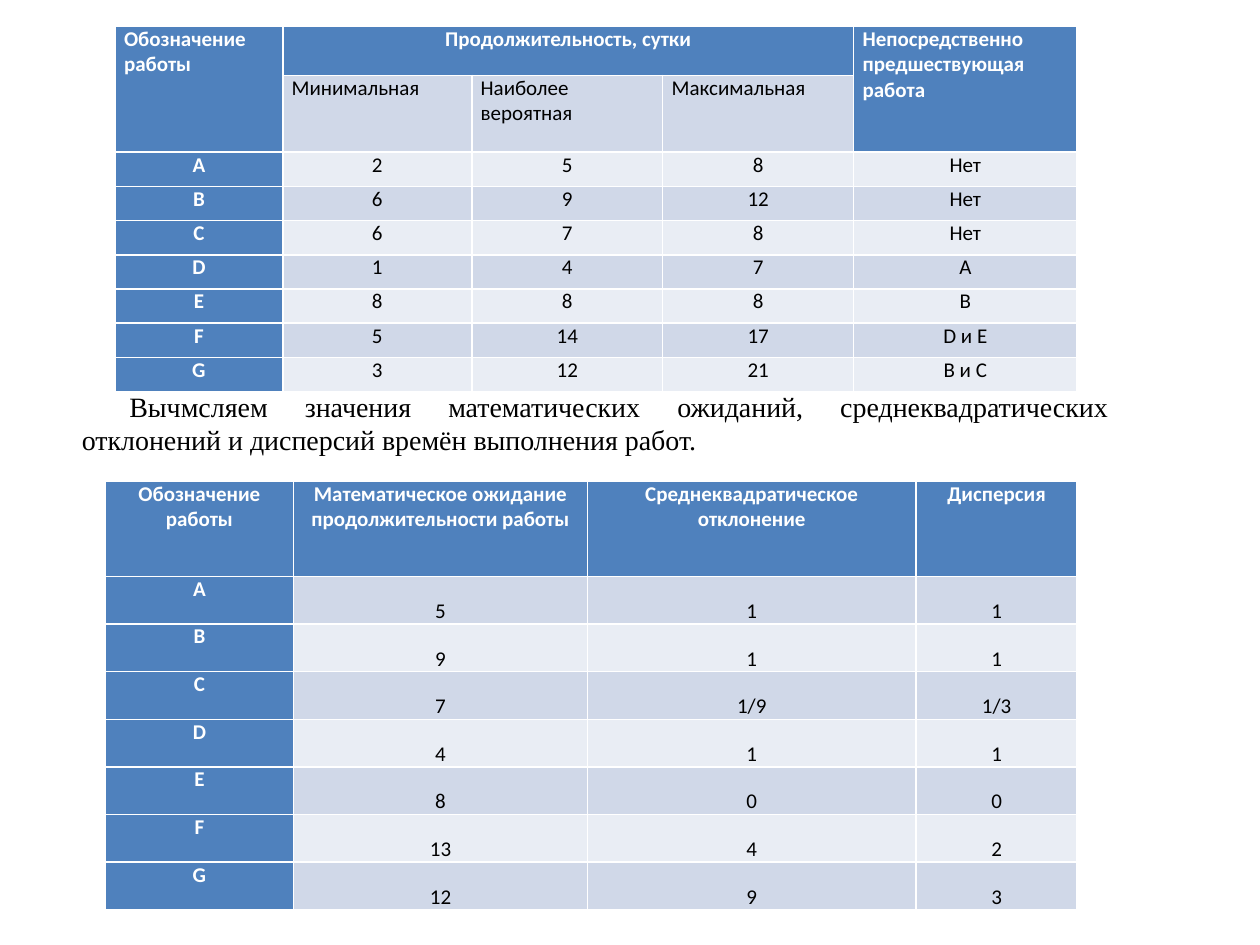
from pptx import Presentation
from pptx import util as u
from pptx.dml.color import RGBColor
from pptx.enum import text

BLUE = RGBColor(0x4F, 0x81, 0xBD)
BAND_DARK = RGBColor(0xD0, 0xD8, 0xE8)
BAND_LIGHT = RGBColor(0xE9, 0xED, 0xF4)
WHITE = RGBColor(0xFF, 0xFF, 0xFF)
BLACK = RGBColor(0, 0, 0)

CENTER, JUSTIFY = text.PP_ALIGN.CENTER, text.PP_ALIGN.JUSTIFY
TOP, BOTTOM = text.MSO_ANCHOR.TOP, text.MSO_ANCHOR.BOTTOM

DURATIONS = [
    ["Обозначение работы", "Продолжительность, сутки", "", "",
     "Непосредственно предшествующая работа"],
    ["", "Минимальная", "Наиболее вероятная", "Максимальная", ""],
    ["A", "2", "5", "8", "Нет"],
    ["B", "6", "9", "12", "Нет"],
    ["C", "6", "7", "8", "Нет"],
    ["D", "1", "4", "7", "A"],
    ["E", "8", "8", "8", "B"],
    ["F", "5", "14", "17", "D и E"],
    ["G", "3", "12", "21", "B и C"],
]
DURATION_MERGES = [((0, 0), (1, 0)), ((0, 1), (0, 3)), ((0, 4), (1, 4))]

ESTIMATES = [
    ["Обозначение работы", "Математическое ожидание продолжительности работы",
     "Среднеквадратическое отклонение", "Дисперсия"],
    ["A", "5", "1", "1"],
    ["B", "9", "1", "1"],
    ["C", "7", "1/9", "1/3"],
    ["D", "4", "1", "1"],
    ["E", "8", "0", "0"],
    ["F", "13", "4", "2"],
    ["G", "12", "9", "3"],
]


class SlideWriter:
    table_font, table_size = "Calibri", u.Pt(12)
    body_font, body_size = "Times New Roman", u.Pt(16)
    gap = u.Pt(6)

    def __init__(self, slide):
        self.slide = slide

    def format_runs(self, para, font, size, color, bold=False):
        for span in para.runs:
            span.font.name, span.font.size = font, size
            span.font.color.rgb, span.font.bold = color, bold

    def cell(self, cell, content, fill, heading, align=CENTER, anchor=TOP):
        cell.fill.solid()
        cell.fill.fore_color.rgb = fill
        cell.margin_left = cell.margin_right = u.Cm(0.18)
        cell.margin_top = cell.margin_bottom = 0
        cell.vertical_anchor = anchor
        para = cell.text_frame.paragraphs[0]
        para.text = content
        para.alignment = align
        if not content.replace("/", "").isdigit():
            para.space_after = self.gap
        self.format_runs(para, self.table_font, self.table_size,
                         WHITE if heading else BLACK, heading)

    def table(self, left, top, widths, heights, rows, merges=(),
              justified=(), anchor=TOP):
        """Draw a table with a blue first row and column; justified lists cell positions."""
        frame = self.slide.shapes.add_table(
            len(rows), len(widths), u.Cm(left), u.Cm(top),
            u.Cm(sum(widths)), u.Cm(sum(heights)))
        table = frame.table
        table.first_col = True
        for column, width in zip(table.columns, widths):
            column.width = u.Cm(width)
        for row, height in zip(table.rows, heights):
            row.height = u.Cm(height)
        for r, row in enumerate(rows):
            for c, content in enumerate(row):
                heading = r == 0 or c == 0
                band = BAND_DARK if r % 2 else BAND_LIGHT
                self.cell(table.cell(r, c), content, BLUE if heading else band, heading,
                          JUSTIFY if (r, c) in justified else CENTER,
                          TOP if heading else anchor)
        for first, last in merges:
            table.cell(*first).merge(table.cell(*last))

    def paragraph(self, left, top, width, height, content, indent):
        box = self.slide.shapes.add_textbox(
            u.Cm(left), u.Cm(top), u.Cm(width), u.Cm(height))
        frame = box.text_frame
        frame.word_wrap = True
        frame.auto_size = text.MSO_AUTO_SIZE.SHAPE_TO_FIT_TEXT
        frame.text = content
        para = frame.paragraphs[0]
        para.alignment = JUSTIFY
        para.space_before = para.space_after = self.gap
        para._p.get_or_add_pPr().set("indent", str(u.Cm(indent)))
        self.format_runs(para, self.body_font, self.body_size, BLACK)


def main():
    deck = Presentation()
    deck.slide_width, deck.slide_height = u.Cm(25.4), u.Cm(19.05)
    writer = SlideWriter(deck.slides.add_slide(deck.slide_layouts[6]))
    writer.table(2.32, 0.53, [3.38, 3.81, 3.85, 3.85, 4.5],
                 [0.99, 1.37] + [0.69] * 7, DURATIONS, DURATION_MERGES,
                 justified=[(0, 0), (0, 4), (1, 1), (1, 2), (1, 3)])
    writer.paragraph(1.4, 7.72, 21.2, 1.63,
                     "Вычмсляем значения математических ожиданий, среднеквадратических "
                     "отклонений и дисперсий времён выполнения работ.", indent=0.96)
    writer.table(2.12, 9.7, [3.8, 5.92, 6.63, 3.24],
                 [1.92] + [0.96] * 7, ESTIMATES, anchor=BOTTOM)
    deck.save("out.pptx")


if __name__ == "__main__":
    main()
